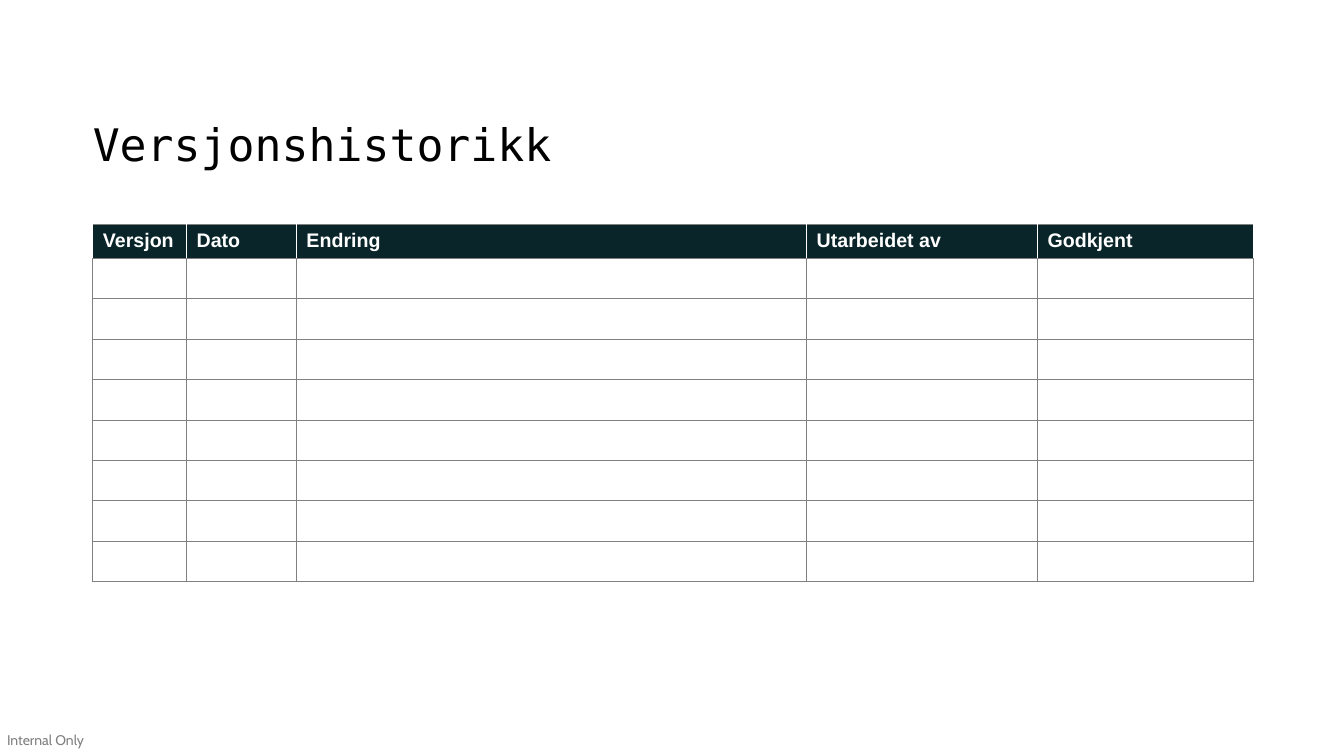
from lxml.etree import SubElement
from pptx import Presentation
from pptx.dml.color import RGBColor
from pptx.enum.text import MSO_ANCHOR, PP_ALIGN
from pptx.oxml.ns import qn
from pptx.util import Inches, Pt

COLUMNS = {
    "Versjon": 0.93,
    "Dato": 1.09,
    "Endring": 5.06,
    "Utarbeidet av": 2.29,
    "Godkjent": 2.14,
}
ENTRY_ROWS = 8
HEADER_HEIGHT = 0.32
ENTRIES_HEIGHT = 3.1


def color(hex_value):
    return RGBColor.from_string(hex_value)


class VersionSlide:
    title_font = "DejaVu Sans Mono"
    table_font = "Arial"
    label_font = "Cabin"
    ink, paper, header_fill, grid, label_ink = (
        "000000", "FFFFFF", "092529", "808080", "7F7F7F")

    def __init__(self, presentation):
        self.slide = presentation.slides.add_slide(presentation.slide_layouts[5])

    def format_text(self, frame, font, size, ink, bold=False):
        for paragraph in frame.paragraphs:
            paragraph.alignment = PP_ALIGN.LEFT
            for run in paragraph.runs:
                run.font.name = font
                run.font.size = Pt(size)
                run.font.bold = bold
                run.font.color.rgb = color(ink)

    def title(self, text, left, top, width, height):
        title = self.slide.shapes.title
        title.left, title.top = Inches(left), Inches(top)
        title.width, title.height = Inches(width), Inches(height)
        frame = title.text_frame
        frame.text = text
        frame.vertical_anchor = MSO_ANCHOR.BOTTOM
        frame.margin_left = frame.margin_right = 0
        self.format_text(frame, self.title_font, 32, self.ink)

    def label(self, text, left, top, width, height):
        frame = self.slide.shapes.add_textbox(
            Inches(left), Inches(top), Inches(width), Inches(height)).text_frame
        frame.margin_left = frame.margin_right = 0
        frame.margin_top = frame.margin_bottom = 0
        frame.text = text
        self.format_text(frame, self.label_font, 10, self.label_ink)

    def cell(self, cell, fill, side_color, side_width):
        """Draw the cell's borders, then its fill, in schema order."""
        properties = cell._tc.get_or_add_tcPr()
        sides = (side_color, side_width)
        edges = (self.grid, 0.5)
        for tag, (ink, width) in zip(("a:lnL", "a:lnR", "a:lnT", "a:lnB"),
                                     (sides, sides, edges, edges)):
            line = SubElement(properties, qn(tag), w=str(Pt(width)))
            solid = SubElement(line, qn("a:solidFill"))
            SubElement(solid, qn("a:srgbClr"), val=ink)
        cell.fill.solid()
        cell.fill.fore_color.rgb = color(fill)

    def history_table(self, columns, entry_rows, left, top):
        table = self.slide.shapes.add_table(
            entry_rows + 1, len(columns), Inches(left), Inches(top),
            Inches(sum(columns.values())),
            Inches(HEADER_HEIGHT + ENTRIES_HEIGHT)).table
        table.horz_banding = False
        for column, width in zip(table.columns, columns.values()):
            column.width = Inches(width)
        header_row, *entries = table.rows
        header_row.height = Inches(HEADER_HEIGHT)
        for header, heading in zip(header_row.cells, columns):
            header.text_frame.text = heading
            self.format_text(header.text_frame, self.table_font, 14, self.paper, bold=True)
            self.cell(header, self.header_fill, self.paper, 1)
        for entry in entries:
            entry.height = Inches(ENTRIES_HEIGHT / entry_rows)
            for cell in entry.cells:
                self.cell(cell, self.paper, self.grid, 0.5)


def main():
    presentation = Presentation()
    presentation.slide_width = Inches(13.33)
    presentation.slide_height = Inches(7.5)
    page = VersionSlide(presentation)
    page.label("Internal Only", 0.07, 7.26, 0.8, 0.17)
    page.title("Versjonshistorikk", 0.92, 0.56, 11.5, 1.18)
    page.history_table(COLUMNS, ENTRY_ROWS, 0.92, 2.23)
    presentation.save("out.pptx")


if __name__ == "__main__":
    main()
